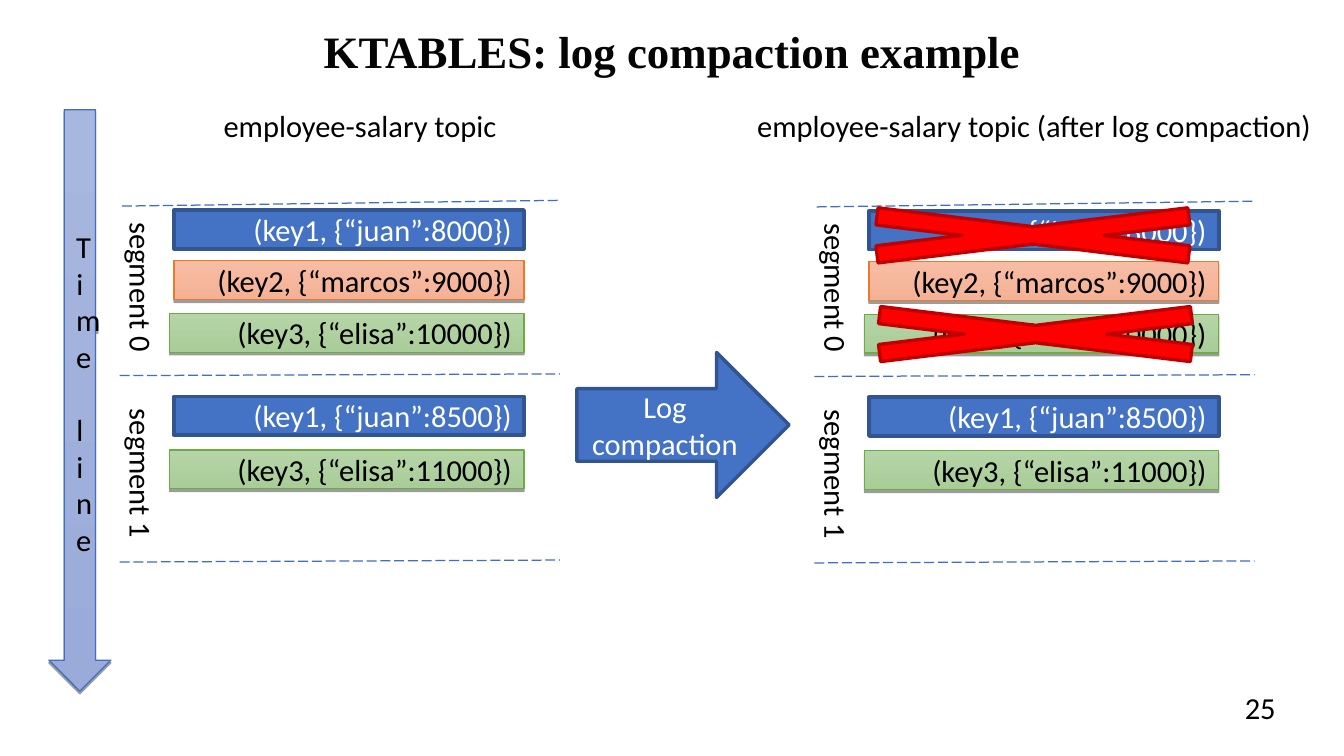
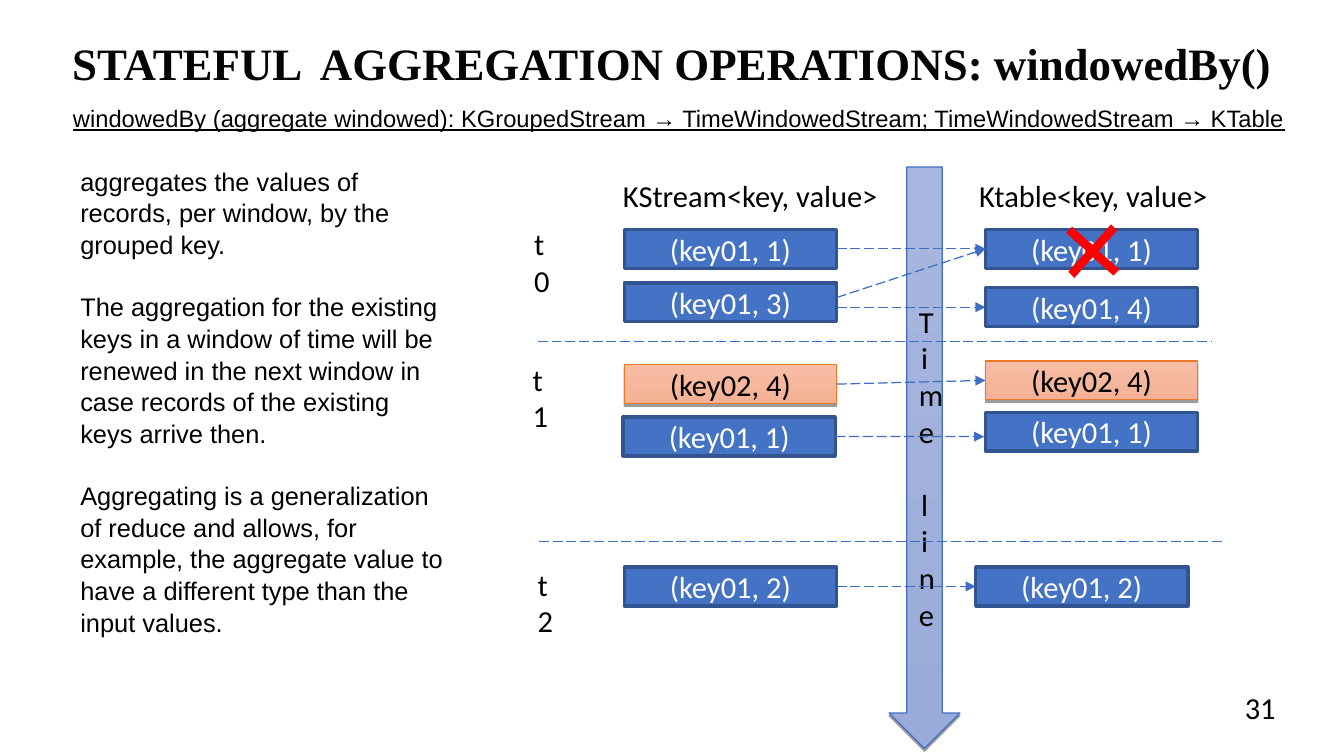
import pptx
import pptx.util
import pptx.dml.color
import pptx.enum.dml
import pptx.enum.shapes
import pptx.enum.text
import pptx.oxml.ns
from lxml import etree

Pt = pptx.util.Pt
RGBColor = pptx.dml.color.RGBColor
Shape = pptx.enum.shapes.MSO_SHAPE
Align = pptx.enum.text.PP_ALIGN
Anchor = pptx.enum.text.MSO_ANCHOR
qn = pptx.oxml.ns.qn

BLACK = RGBColor(0x00, 0x00, 0x00)
WHITE = RGBColor(0xFF, 0xFF, 0xFF)
INK = RGBColor(0x05, 0x05, 0x05)
BLUE = RGBColor(0x44, 0x72, 0xC4)
NAVY = RGBColor(0x32, 0x54, 0x90)
STEEL = RGBColor(0x3F, 0x6E, 0xC2)
SKY = (RGBColor(0xA8, 0xB7, 0xDF), RGBColor(0x9A, 0xAB, 0xD9))
PEACH = (RGBColor(0xF7, 0xBC, 0xA4), RGBColor(0xF4, 0xB1, 0x96))
AMBER = RGBColor(0xEC, 0x79, 0x2A)
MINT = (RGBColor(0xB5, 0xD4, 0xA7), RGBColor(0xA9, 0xCD, 0x99))
GREEN = RGBColor(0x6D, 0xAC, 0x43)
RED = RGBColor(0xFF, 0x00, 0x00)
WINE = RGBColor(0xC0, 0x00, 0x00)

LOOKS = {
    "blue": (BLUE, NAVY, 2, WHITE),
    "peach": (PEACH, AMBER, 0.75, BLACK),
    "green": (MINT, GREEN, 0.75, BLACK),
    "time": (SKY, STEEL, 0.75, BLACK),
    "cross": (RED, WINE, 2, BLACK),
}


def write(frame, text, size=18, font="Calibri", color=BLACK, bold=False, under=False,
          align=Align.LEFT, anchor=Anchor.TOP, wrap=True, inset=(7.2, 3.6, 7.2, 3.6),
          gap=0, lead=None):
    frame.word_wrap = wrap
    frame.vertical_anchor = anchor
    (frame.margin_left, frame.margin_top,
     frame.margin_right, frame.margin_bottom) = map(Pt, inset)
    for i, line in enumerate(text.split("\n")):
        para = frame.paragraphs[0] if i == 0 else frame.add_paragraph()
        para.alignment = align
        if i and gap:
            para.space_before = Pt(gap)
        if lead:
            para.line_spacing = lead
        run = para.add_run()
        run.text = line
        run.font.size = Pt(size)
        run.font.name = font
        run.font.color.rgb = color
        run.font.bold = bold
        run.font.underline = under


class Deck:
    wide, high = 793.44, 446.4

    def __init__(self):
        self.show = pptx.Presentation()
        self.show.slide_width = Pt(self.wide)
        self.show.slide_height = Pt(self.high)
        self.slide = None

    def start(self, title, top, page):
        self.slide = self.show.slides.add_slide(self.show.slide_layouts[6])
        self.text(title, 0, top, self.wide, 50, size=26.5, font="Times New Roman",
                  color=INK, bold=True, align=Align.CENTER, inset=(8, 8, 8, 8))
        self.text(page, 568.8, 406.8, 184.3, 30, align=Align.RIGHT, inset=(0, 0, 0, 0))

    def text(self, words, x, y, w, h, turn=0, **form):
        box = self.slide.shapes.add_textbox(Pt(x), Pt(y), Pt(w), Pt(h))
        box.rotation = turn
        write(box.text_frame, words, **form)

    def shape(self, kind, look, x, y, w, h, words="", adjust=(), **form):
        fill, edge, width, color = LOOKS[look]
        item = self.slide.shapes.add_shape(kind, Pt(x), Pt(y), Pt(w), Pt(h))
        item.shadow.inherit = False
        for i, value in enumerate(adjust):
            item.adjustments[i] = value
        if isinstance(fill, RGBColor):
            item.fill.solid()
            item.fill.fore_color.rgb = fill
        else:
            item.fill.gradient()
            item.fill.gradient_angle = 270
            for stop, shade in zip(item.fill.gradient_stops, fill):
                stop.color.rgb = shade
            self.shade(item)
        item.line.color.rgb = edge
        item.line.width = Pt(width)
        if words:
            write(item.text_frame, words, color=color, anchor=Anchor.MIDDLE, **form)
        return item

    def shade(self, item):
        effects = item.element.spPr.find(qn("a:effectLst"))
        outer = etree.SubElement(effects, qn("a:outerShdw"), blurRad="0",
                                 dist=str(int(Pt(1.6))), dir="5400000", rotWithShape="0")
        color = etree.SubElement(outer, qn("a:srgbClr"), val="000000")
        etree.SubElement(color, qn("a:alpha"), val="38000")

    def card(self, look, x, y, w, words, align=Align.CENTER):
        return self.shape(Shape.RECTANGLE, look, x, y, w, 23, words, align=align)

    def line(self, begin, end, arrow=False):
        spots = [(0, 0) if hasattr(spot, "shape_id") else spot for spot in (begin, end)]
        item = self.slide.shapes.add_connector(
            pptx.enum.shapes.MSO_CONNECTOR.STRAIGHT,
            *(Pt(value) for spot in spots for value in spot))
        if hasattr(begin, "shape_id"):
            item.begin_connect(begin, 3)
        if hasattr(end, "shape_id"):
            item.end_connect(end, 1)
        item.line.color.rgb = STEEL
        item.line.width = Pt(0.75)
        item.line.dash_style = pptx.enum.dml.MSO_LINE.LONG_DASH
        props = item.element.spPr
        if arrow:
            etree.SubElement(props.find(qn("a:ln")), qn("a:tailEnd"), type="triangle")
        etree.SubElement(props, qn("a:effectLst"))

    def cross(self, x, y):
        half = [(10.8, -15.8), (14.4, -12.2), (3.6, 0), (15.8, 10.8), (12.2, 14.4), (0, 3.6)]
        spots = [(Pt(x + s * dx), Pt(y + s * dy)) for s in (1, -1) for dx, dy in half]
        pen = self.slide.shapes.build_freeform(*spots[0])
        pen.add_line_segments(spots[1:], close=True)
        item = pen.convert_to_shape()
        item.shadow.inherit = False
        item.fill.solid()
        item.fill.fore_color.rgb = RED
        item.line.fill.background()

    def topic(self, x, y):
        rows = [("blue", 124, "(key1, {“juan”:8000})"),
                ("peach", 154, "(key2, {“marcos”:9000})"),
                ("green", 185, "(key3, {“elisa”:10000})"),
                ("blue", 234, "(key1, {“juan”:8500})"),
                ("green", 265.7, "(key3, {“elisa”:11000})")]
        for look, top, words in rows:
            left = 100.2 if look == "green" else 102.8
            self.card(look, x + left, y + top, 309.4 - left, words, align=Align.RIGHT)
        for i, top in enumerate((154.8, 265)):
            self.text(f"segment {i}", x + 38.2, y + top, 90.7, 29, turn=90,
                      wrap=False, align=Align.RIGHT)
        for left, top, rise in ((72, 121.7, 3.4), (70.6, 221.8, 1), (70.6, 331.9, 1.2)):
            self.line((x + left, y + top), (x + 330.5, y + top - rise))


def compact(deck):
    deck.start("KTABLES: log compaction example", 5.8, "25")
    deck.shape(Shape.DOWN_ARROW, "time", 28.8, 64.8, 36.7, 343.4, "Time line",
               adjust=(0.5, 0.5), align=Align.RIGHT)
    heads = [("employee-salary topic", 124.6, 175.7),
             ("employee-salary topic (after log compaction)", 439.9, 341.3)]
    for words, x, w in heads:
        deck.text(words, x, 59.8, w, 29, wrap=False, align=Align.RIGHT)
    deck.topic(0, 0)
    deck.topic(410.2, 0.5)
    for x, y in ((432.7, 117.4), (434.2, 175.7)):
        deck.shape(Shape.MATH_MULTIPLY, "cross", x, y, 354.2, 43.2, adjust=(0.235,))
    deck.shape(Shape.RIGHT_ARROW, "blue", 340.6, 208.1, 125.3, 85.7, "Log compaction",
               adjust=(0.5, 0.5), align=Align.CENTER)


def window(deck):
    deck.start("STATEFUL  AGGREGATION OPERATIONS: windowedBy()", 13, "31")
    deck.text("windowedBy (aggregate windowed): KGroupedStream → TimeWindowedStream; "
              "TimeWindowedStream → KTable", 36, 57.6, 741.6, 24,
              size=14, font="Arial", under=True)
    deck.text("aggregates the values of records, per window, by the grouped key.\n"
              "The aggregation for the existing keys in a window of time will be renewed "
              "in the next window in case records of the existing keys arrive then.\n"
              "Aggregating is a generalization of reduce and allows, for example, the "
              "aggregate value to have a different type than the input values.",
              40.3, 93.6, 229, 298, size=15, font="Arial", gap=18, lead=1.04)
    deck.shape(Shape.DOWN_ARROW, "time", 524.9, 98.6, 41.8, 343.4, "Time line",
               adjust=(0.5, 0.5), align=Align.CENTER, inset=(7.2, 25.6, 7.2, 3.6))
    for words, x, w in (("KStream<key, value>", 360.7, 164.9),
                        ("Ktable<key, value>", 571, 149)):
        deck.text(words, x, 100.8, w, 29, wrap=False)
    for i, (x, y) in enumerate(((308.2, 129.6), (307.4, 209.5), (310.3, 330.5))):
        deck.text(f"t{i}", x, y, 28, 29)
    for left, right, y in ((317.5, 715.7, 201.6), (318.2, 721.4, 319.7)):
        deck.line((left, y), (right, y))

    def cards(rows):
        return [deck.card(look, x, y, 125.3, words) for look, x, y, words in rows]

    one, three, four, again, two = cards([
        ("blue", 368.6, 135.4, "(key01, 1)"), ("blue", 368.6, 167, "(key01, 3)"),
        ("peach", 368.6, 215.3, "(key02, 4)"), ("blue", 367.9, 246.2, "(key01, 1)"),
        ("blue", 368.6, 334.8, "(key01, 2)")])
    first, sum4, new4, new1, new2 = cards([
        ("blue", 581.8, 135.4, "(key01, 1)"), ("blue", 581.8, 169.9, "(key01, 4)"),
        ("peach", 581.8, 213.1, "(key02, 4)"), ("blue", 581.8, 243.4, "(key01, 1)"),
        ("blue", 576, 334.8, "(key01, 2)")])
    for begin, end in ((one, first), ((493.9, 175.7), first), ((493.9, 181.4), sum4),
                       (four, new4), (again, (581, 257.8)), (two, new2)):
        deck.line(begin, end, arrow=True)
    deck.cross(645.1, 148.3)


def main():
    deck = Deck()
    compact(deck)
    window(deck)
    deck.show.save("out.pptx")


if __name__ == "__main__":
    main()
